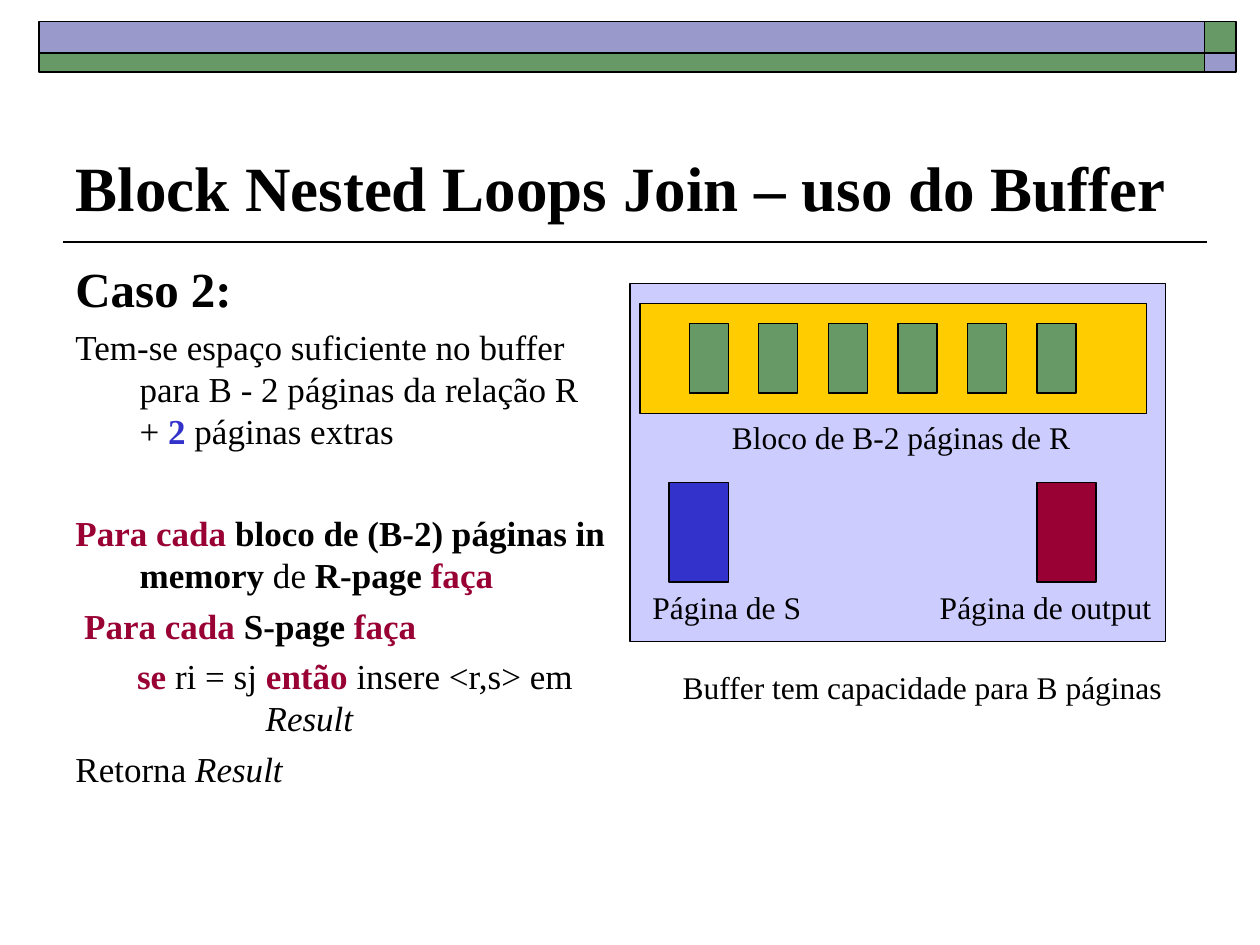
from dataclasses import dataclass

from lxml.etree import SubElement
from pptx import Presentation
from pptx.dml.color import RGBColor as Rgb
from pptx.enum.shapes import MSO_CONNECTOR as Connector, MSO_SHAPE as Shape
from pptx.enum.text import MSO_ANCHOR as Anchor, MSO_AUTO_SIZE as AutoSize, PP_ALIGN as Align
from pptx.oxml.ns import qn
from pptx.util import Inches, Pt


@dataclass(frozen=True)
class Theme:
    font: str = "Times New Roman"
    black: str = "000000"
    green: str = "669966"
    violet: str = "9999CC"
    lavender: str = "CCCCFF"
    yellow: str = "FFCC00"
    blue: str = "3333CC"
    crimson: str = "990033"
    title_size: int = 36
    heading_size: int = 28
    body_size: int = 20
    label_size: int = 18


class SlideBuilder:
    def __init__(self, slide, theme):
        self.slide = slide
        self.theme = theme

    def style(self, font, size, bold=False):
        font.name = self.theme.font
        font.size = Pt(size)
        font.bold = bold
        font.color.rgb = Rgb.from_string(self.theme.black)

    def rect(self, left, top, width, height, fill, line_width=0.75):
        shape = self.slide.shapes.add_shape(
            Shape.RECTANGLE, Inches(left), Inches(top), Inches(width), Inches(height))
        shape.shadow.inherit = False
        shape.fill.solid()
        shape.fill.fore_color.rgb = Rgb.from_string(fill)
        shape.line.color.rgb = Rgb.from_string(self.theme.black)
        shape.line.width = Pt(line_width)

    def rule(self, left, right, y):
        line = self.slide.shapes.add_connector(
            Connector.STRAIGHT, Inches(left), Inches(y), Inches(right), Inches(y))
        line.line.color.rgb = Rgb.from_string(self.theme.black)
        line.line.width = Pt(1)
        SubElement(line._element.spPr, qn("a:effectLst"))

    def title(self, text, left, top, width, height):
        title = self.slide.shapes.title
        title.left, title.top = Inches(left), Inches(top)
        title.width, title.height = Inches(width), Inches(height)
        frame = title.text_frame
        frame.text = text
        frame.auto_size = AutoSize.NONE
        frame.vertical_anchor = Anchor.BOTTOM
        paragraph = frame.paragraphs[0]
        paragraph.alignment = Align.LEFT
        self.style(paragraph.font, self.theme.title_size, bold=True)

    def label(self, text, left, top, width):
        box = self.slide.shapes.add_textbox(
            Inches(left), Inches(top), Inches(width), Inches(0.4))
        box.text_frame.word_wrap = False
        box.text_frame.text = text
        self.style(box.text_frame.paragraphs[0].font, self.theme.label_size)

    def body(self, left, top, width, height):
        box = self.slide.shapes.add_textbox(
            Inches(left), Inches(top), Inches(width), Inches(height))
        box.text_frame.word_wrap = True
        return box.text_frame

    def paragraph(self, paragraph, runs, size, start=0, hanging=0.51, before=0):
        properties = paragraph._p.get_or_add_pPr()
        properties.set("marL", str(Inches(hanging)))
        properties.set("indent", str(Inches(start - hanging)))
        paragraph.space_before = Pt(before)
        self.style(paragraph.font, size)
        for text, look in runs:
            if text == "\n":
                paragraph.add_line_break()
                continue
            run = paragraph.add_run()
            run.text = text
            if "bold" in look:
                run.font.bold = True
            if "italic" in look:
                run.font.italic = True
            if "color" in look:
                run.font.color.rgb = Rgb.from_string(look["color"])


def draw_banner(builder, theme):
    for top, height, wide, corner in (
            (0.17, 0.25, theme.violet, theme.green),
            (0.42, 0.15, theme.green, theme.violet)):
        builder.rect(0.31, top, 9.25, height, wide, 1)
        builder.rect(9.56, top, 0.25, height, corner, 1)


def draw_algorithm(builder, theme):
    plain, bold, italic = {}, {"bold": True}, {"italic": True}
    keyword = {"bold": True, "color": theme.crimson}
    count = {"bold": True, "color": theme.blue}
    frame = builder.body(0.5, 2, 4.42, 4.7)
    builder.paragraph(frame.paragraphs[0], [("Caso 2:", bold)], theme.heading_size)
    steps = [
        ([("Tem-se espaço suficiente no buffer para B - 2 páginas da relação R", plain),
          ("\n", plain), ("+ ", plain), ("2 ", count), ("páginas extras", plain)],
         {"before": 5}),
        ([("Para cada ", keyword), ("bloco de (B-2) páginas in memory", bold),
          (" de ", plain), ("R-page ", bold), ("faça", keyword)],
         {"before": 34}),
        ([("Para cada ", keyword), ("S-page ", bold), ("faça", keyword)],
         {"before": 5, "start": 0.07}),
        ([("se", keyword), (" ri = sj ", plain), ("então", keyword),
          (" insere <r,s> em ", plain), ("Result", italic)],
         {"before": 5, "start": 0.49, "hanging": 1.51}),
        ([("Retorna ", plain), ("Result", italic)], {"before": 5}),
    ]
    for runs, layout in steps:
        builder.paragraph(frame.add_paragraph(), runs, theme.body_size, **layout)


def draw_buffer(builder, theme):
    builder.rect(5, 2.25, 4.25, 2.84, theme.lavender)
    builder.rect(5.08, 2.41, 4.02, 0.87, theme.yellow)
    first_page, page_step = 5.47, 0.552
    for page in range(6):
        builder.rect(first_page + page * page_step, 2.57, 0.31, 0.55, theme.green)
    for left, fill in ((5.31, theme.blue), (8.23, theme.crimson)):
        builder.rect(left, 3.83, 0.47, 0.79, fill)
    for text, left, top, width in (
            ("Bloco de B-2 páginas de R", 5.71, 3.27, 2.95),
            ("Página de S", 5.08, 4.62, 1.38),
            ("Página de output", 7.36, 4.62, 1.88),
            ("Buffer tem capacidade para B páginas", 5.32, 5.25, 4.01)):
        builder.label(text, left, top, width)


def main():
    theme = Theme()
    deck = Presentation()
    deck.slide_width, deck.slide_height = Inches(10), Inches(7.5)
    builder = SlideBuilder(deck.slides.add_slide(deck.slide_layouts[5]), theme)
    builder.rule(0.5, 9.58, 1.92)
    draw_banner(builder, theme)
    builder.title("Block Nested Loops Join – uso do Buffer", 0.5, 0.58, 9, 1.25)
    draw_algorithm(builder, theme)
    draw_buffer(builder, theme)
    deck.save("out.pptx")


if __name__ == "__main__":
    main()
